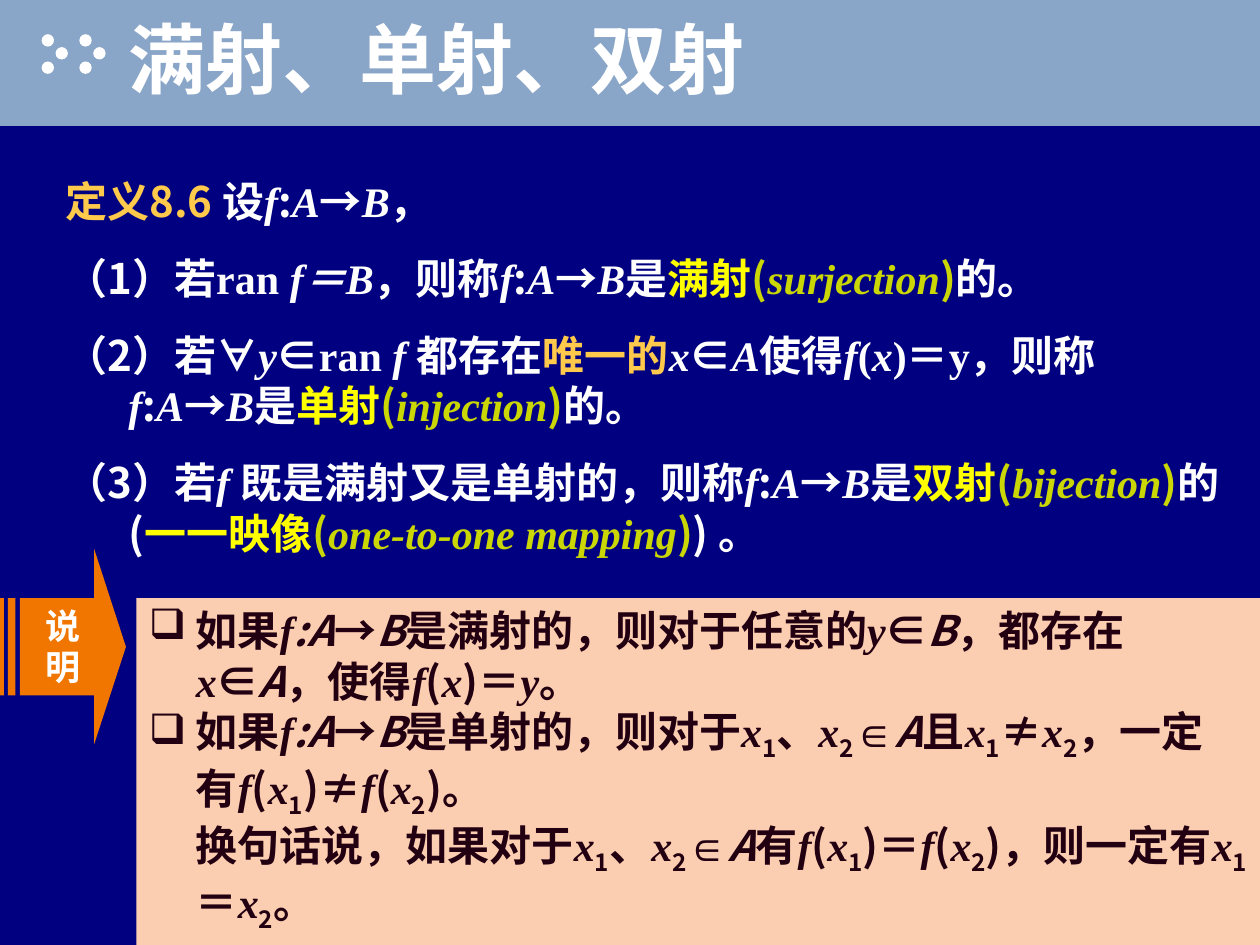
from dataclasses import dataclass

from lxml import etree
from pptx import Presentation
from pptx import util as u
from pptx.dml import color
from pptx.enum import shapes, text
from pptx.oxml import ns


@dataclass(frozen=True)
class Theme:
    navy: str = "000080"
    band: str = "89A5C7"
    white: str = "FFFFFF"
    gold: str = "FFC94C"
    yellow: str = "FFFF00"
    lime: str = "CAD704"
    orange: str = "F07600"
    peach: str = "FCCEB1"
    ink: str = "220011"
    sans: str = "Noto Sans CJK SC"
    serif: str = "Times New Roman"
    arial: str = "Arial"
    head: int = 44
    body: int = 24
    tag: int = 20


T = Theme()

# The first letter of each piece of marked text picks one of these formats.
CODES = {
    "k": {},
    "K": {"italic": True},
    "t": {"font": T.serif, "italic": True},
    "r": {"font": T.serif},
    "a": {"font": T.arial},
    "s": {"base": -25},
    "g": {"hue": T.gold},
    "y": {"hue": T.yellow},
    "l": {"hue": T.lime},
    "m": {"font": T.serif, "italic": True, "hue": T.lime},
}

MAP = "tf|k:|tA|k→|tB"
BOLD_MAP = "tf|K:A|k→|KB"
X1, X2 = "tx|s1", "tx|s2"
FX = "tf|k(|tx|k)＝"
F1, F2 = f"tf|k(|{X1}", f"tf|k(|{X2}"
PAIR = f"{X1}|k、|{X2}|a∈|KA"

RULES = [
    f"g定义8.6 |k设|{MAP}|k，",
    f"k（1）若|rran |tf＝B|k，则称|{MAP}|k是|y满射|l(|msurjection|l)|k的。",
    "k（2）若|a∀|ty|k∈|rran |tf |k都存在|g唯一的|tx|k∈|tA|k使得|tf|r(|tx|r)＝y|k，则称 |"
    f"{MAP}|k是|y单射|l(|minjection|l)|k的。",
    f"k（3）若|tf |k既是满射又是单射的，则称|{MAP}|k是|y双射|l(|mbijection|l)|k的(|"
    "y一一映像|l(|mone-to-one mapping|l)|k) 。",
]

# Marked text, line pitch, bulleted
NOTES = [
    (f"k如果|{BOLD_MAP}|k是满射的，则对于任意的|ty|k∈|KB|k，都存在|tx|k∈|KA|k，使得|{FX}|ty|k。",
     29, True),
    (f"k如果|{BOLD_MAP}|k是单射的，则对于|{PAIR}|k且|{X1}|k≠|{X2}|k，一定\u3000有|"
     f"{F1}|k)≠|{F2}|k)。", 32.5, True),
    (f"k换句话说，如果对于|{PAIR}|k有|{F1}|k)＝|{F2}|k)，则一定有|{X1}|k＝|{X2}|k。",
     32.5, False),
]


def sub(node, tag, **attrs):
    return etree.SubElement(node, ns.qn(tag), attrs)


def rgb(hue):
    return color.RGBColor.from_string(hue)


def write(par, words, size=T.body, font=T.sans, hue=T.white, italic=False, base=0):
    """Add one bold run to a paragraph."""
    run = par.add_run()
    run.text = words
    face = run.font
    face.size, face.bold, face.italic = u.Pt(size), True, italic
    face.color.rgb = rgb(hue)
    face.name = font
    props = run.font._element
    sub(props, "a:ea", typeface=T.sans)
    if base:
        props.set("baseline", str(base * 1000))
    return run


def mark(par, line, hue=T.white):
    """Write marked text, split at bars, in the format each code names."""
    for piece in line.split("|"):
        write(par, piece[1:], **{"hue": hue, **CODES[piece[0]]})


def hang(par, left, first, pitch, before=0, bullet=None):
    par.line_spacing = u.Pt(pitch)
    par.space_before = u.Pt(before)
    props = par._p.get_or_add_pPr()
    props.set("marL", str(u.Cm(left)))
    props.set("indent", str(u.Cm(first)))
    if bullet:
        tint = sub(props, "a:buClr")
        sub(tint, "a:srgbClr", val=T.ink)
        sub(props, "a:buChar", char=bullet)


def paint(shape, hue):
    shape.shadow.inherit = False
    shape.fill.solid()
    shape.fill.fore_color.rgb = rgb(hue)
    shape.line.fill.background()
    return shape


def block(slide, kind, hue, *box):
    return paint(slide.shapes.add_shape(kind, *map(u.Cm, box)), hue)


def rows(frame, count):
    """Ready a wrapped frame and give its paragraphs."""
    frame.word_wrap = True
    frame.vertical_anchor = text.MSO_ANCHOR.TOP
    for _ in range(count - 1):
        frame.add_paragraph()
    for par in frame.paragraphs:
        par.alignment = text.PP_ALIGN.LEFT
    return frame.paragraphs


def banner(slide):
    band = block(slide, shapes.MSO_SHAPE.RECTANGLE, T.band, 0, 0, 25.4, 2.54)
    for left in (0.84, 1.6):
        for dx, top in ((0, 0.69), (0.28, 0.95), (0, 1.24)):
            block(slide, shapes.MSO_SHAPE.OVAL, T.white, left + dx, top, 0.25, 0.25)

    title = slide.shapes.title
    band.element.addnext(title.element)
    title.left, title.top, title.width, title.height = map(u.Cm, (2.34, 0.2, 22.02, 1.9))
    frame = title.text_frame
    frame.vertical_anchor = text.MSO_ANCHOR.BOTTOM
    frame.margin_bottom = 0
    par = frame.paragraphs[0]
    par.alignment = text.PP_ALIGN.LEFT
    par.line_spacing = u.Pt(53)
    run = write(par, "满射、单射、双射", size=T.head)
    glow = etree.Element(ns.qn("a:effectLst"))
    cast = sub(glow, "a:outerShdw", dist="38100", dir="2700000")
    sub(cast, "a:srgbClr", val="000000")
    run.font._element.find(ns.qn("a:solidFill")).addnext(glow)


def rules(slide):
    box = slide.shapes.add_textbox(*map(u.Cm, (1.07, 3.4, 23.93, 7.95)))
    for par, line in zip(rows(box.text_frame, len(RULES)), RULES):
        hang(par, 1.27, -1.27, 29, before=15)
        mark(par, line)


def arrow(slide):
    """Draw the striped arrow and its label."""
    top, base, mid = 12.06, 14.02, 13.04
    tip = [(1.9, 11.07), (1.9, top), (0.4, top), (0.4, base),
           (1.9, base), (1.9, 15), (2.54, mid)]
    bars = [[(a, top), (a, base), (b, base), (b, top)]
            for a, b in ((0.16, 0.31), (0, 0.08))]
    pen = slide.shapes.build_freeform(*map(u.Cm, tip[0]), scale=1.0)
    for spot, ring in enumerate([tip] + bars):
        if spot:
            pen.move_to(*map(u.Cm, ring[0]))
        pen.add_line_segments([tuple(map(u.Cm, p)) for p in ring[1:]], close=True)
    frame = paint(pen.convert_to_shape(), T.orange).text_frame
    par = rows(frame, 1)[0]
    frame.vertical_anchor = text.MSO_ANCHOR.MIDDLE
    frame.margin_left = frame.margin_right = u.Cm(0.7)
    par.alignment = text.PP_ALIGN.CENTER
    par.line_spacing = u.Pt(23.5)
    write(par, "说明", size=T.tag, font=T.arial)


def notes(slide):
    box = block(slide, shapes.MSO_SHAPE.RECTANGLE, T.peach, 2.75, 12.06, 22.65, 6.99)
    for par, (line, pitch, dot) in zip(rows(box.text_frame, len(NOTES)), NOTES):
        hang(par, 0.95, -0.95 if dot else 0, pitch, bullet="❑" if dot else None)
        mark(par, line, hue=T.ink)


def main():
    deck = Presentation()
    deck.slide_width, deck.slide_height = u.Cm(25.4), u.Cm(19.05)
    slide = deck.slides.add_slide(deck.slide_layouts[5])
    back = slide.background.fill
    back.solid()
    back.fore_color.rgb = rgb(T.navy)
    banner(slide)
    rules(slide)
    arrow(slide)
    notes(slide)
    deck.save("out.pptx")


if __name__ == "__main__":
    main()
